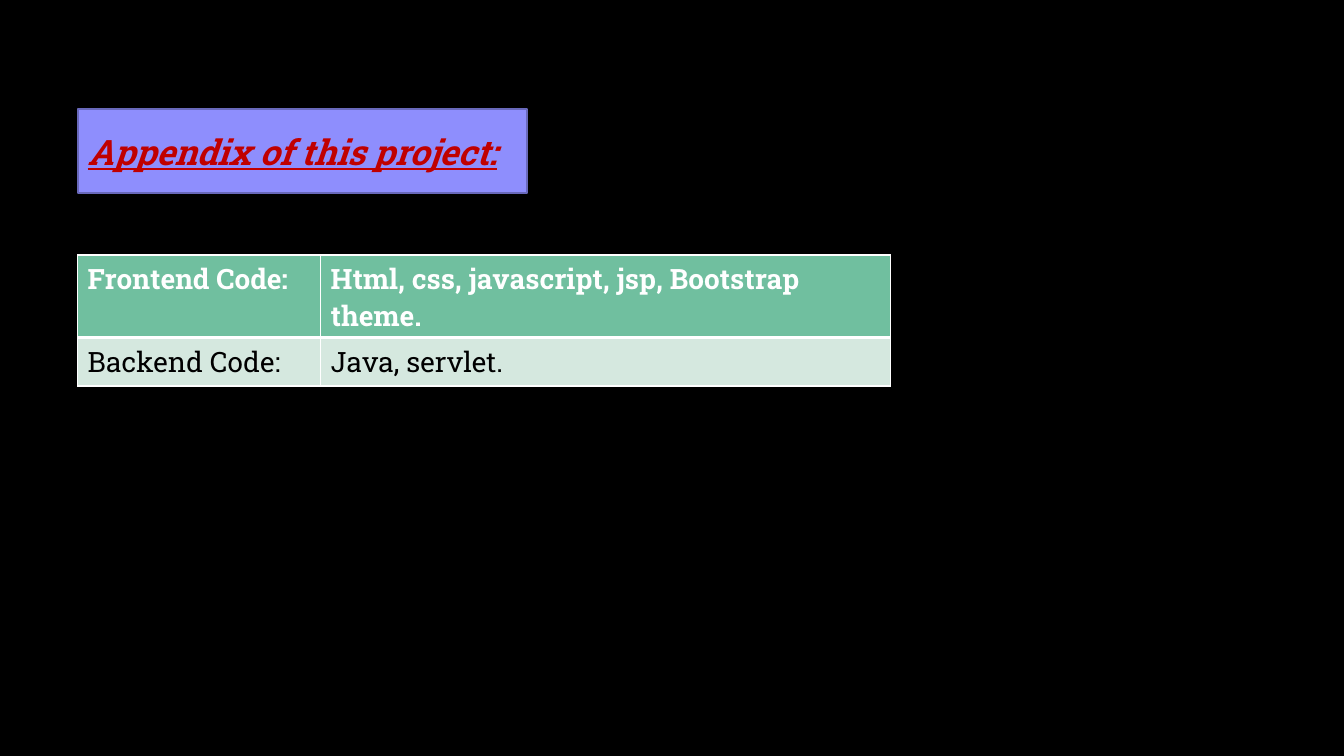
from dataclasses import dataclass

from lxml import etree
from pptx import Presentation
from pptx.dml.color import RGBColor
from pptx.enum.text import MSO_ANCHOR, MSO_AUTO_SIZE, PP_ALIGN
from pptx.oxml.ns import qn
from pptx.slide import Slide
from pptx.table import _Cell
from pptx.text.text import Font
from pptx.util import Inches, Pt

LEFT = PP_ALIGN.LEFT
MIDDLE = MSO_ANCHOR.MIDDLE
FIT = MSO_AUTO_SIZE.SHAPE_TO_FIT_TEXT

BLACK = RGBColor(0x00, 0x00, 0x00)
WHITE = RGBColor(0xFF, 0xFF, 0xFF)
RED = RGBColor(0xC0, 0x00, 0x00)
LILAC = RGBColor(0x8E, 0x8E, 0xFD)
VIOLET = RGBColor(0x69, 0x69, 0xBB)
GREEN = RGBColor(0x70, 0xBF, 0x9F)
MINT = RGBColor(0xD5, 0xE8, 0xDF)

FACE = "Roboto Slab"
MARGIN = Inches(0.77)
WIDTHS = (2.41, 5.65)


@dataclass(frozen=True)
class Row:
    texts: tuple[str, str]
    height: float
    fill: RGBColor
    color: RGBColor
    bold: bool
    top: int
    bottom: int


ROWS = (
    Row(("Frontend Code:", "Html, css, javascript, jsp, Bootstrap theme."),
        0.82, GREEN, WHITE, True, 1, 3),
    Row(("Backend Code:", "Java, servlet."), 0.48, MINT, BLACK, False, 3, 1),
)


def set_font(font: Font, size: int, color: RGBColor, bold: bool) -> None:
    font.name = FACE
    font.size = Pt(size)
    font.bold = bold
    font.color.rgb = color


def add_edge(cell: _Cell, side: str, width: int) -> None:
    props = cell._tc.get_or_add_tcPr()
    edge = etree.SubElement(props, qn(f"a:ln{side}"), w=str(Pt(width)))
    fill = etree.SubElement(edge, qn("a:solidFill"))
    etree.SubElement(fill, qn("a:srgbClr"), val=str(WHITE))


def draw_title(slide: Slide) -> None:
    title = slide.shapes.title
    title.left, title.top = MARGIN, Inches(1.24)
    title.width, title.height = Inches(4.46), Inches(0.52)
    title.fill.solid()
    title.fill.fore_color.rgb = LILAC
    title.line.color.rgb = VIOLET
    title.line.width = Pt(1.5)
    frame = title.text_frame
    frame.text = "Appendix of this project:"
    frame.word_wrap = True
    frame.auto_size = FIT
    frame.vertical_anchor = MIDDLE
    para = frame.paragraphs[0]
    para.alignment = LEFT
    font = para.runs[0].font
    set_font(font, 25, RED, True)
    font.italic = True
    font.underline = True


def draw_cell(cell: _Cell, text: str, row: Row) -> None:
    edges = {"L": 1, "R": 1, "T": row.top, "B": row.bottom}
    for side, width in edges.items():
        add_edge(cell, side, width)
    cell.fill.solid()
    cell.fill.fore_color.rgb = row.fill
    cell.text = text
    set_font(cell.text_frame.paragraphs[0].runs[0].font, 20, row.color, row.bold)


def draw_table(slide: Slide) -> None:
    height = sum(row.height for row in ROWS)
    table = slide.shapes.add_table(
        len(ROWS), len(WIDTHS), MARGIN, Inches(2.53),
        Inches(sum(WIDTHS)), Inches(height)).table
    for column, width in zip(table.columns, WIDTHS):
        column.width = Inches(width)
    for line, row in zip(table.rows, ROWS):
        line.height = Inches(row.height)
        for cell, text in zip(line.cells, row.texts):
            draw_cell(cell, text, row)


def main() -> None:
    deck = Presentation()
    deck.slide_width, deck.slide_height = Inches(13.33), Inches(7.5)
    slide = deck.slides.add_slide(deck.slide_layouts[5])
    slide.background.fill.solid()
    slide.background.fill.fore_color.rgb = BLACK
    draw_title(slide)
    draw_table(slide)
    deck.save("out.pptx")


if __name__ == "__main__":
    main()
